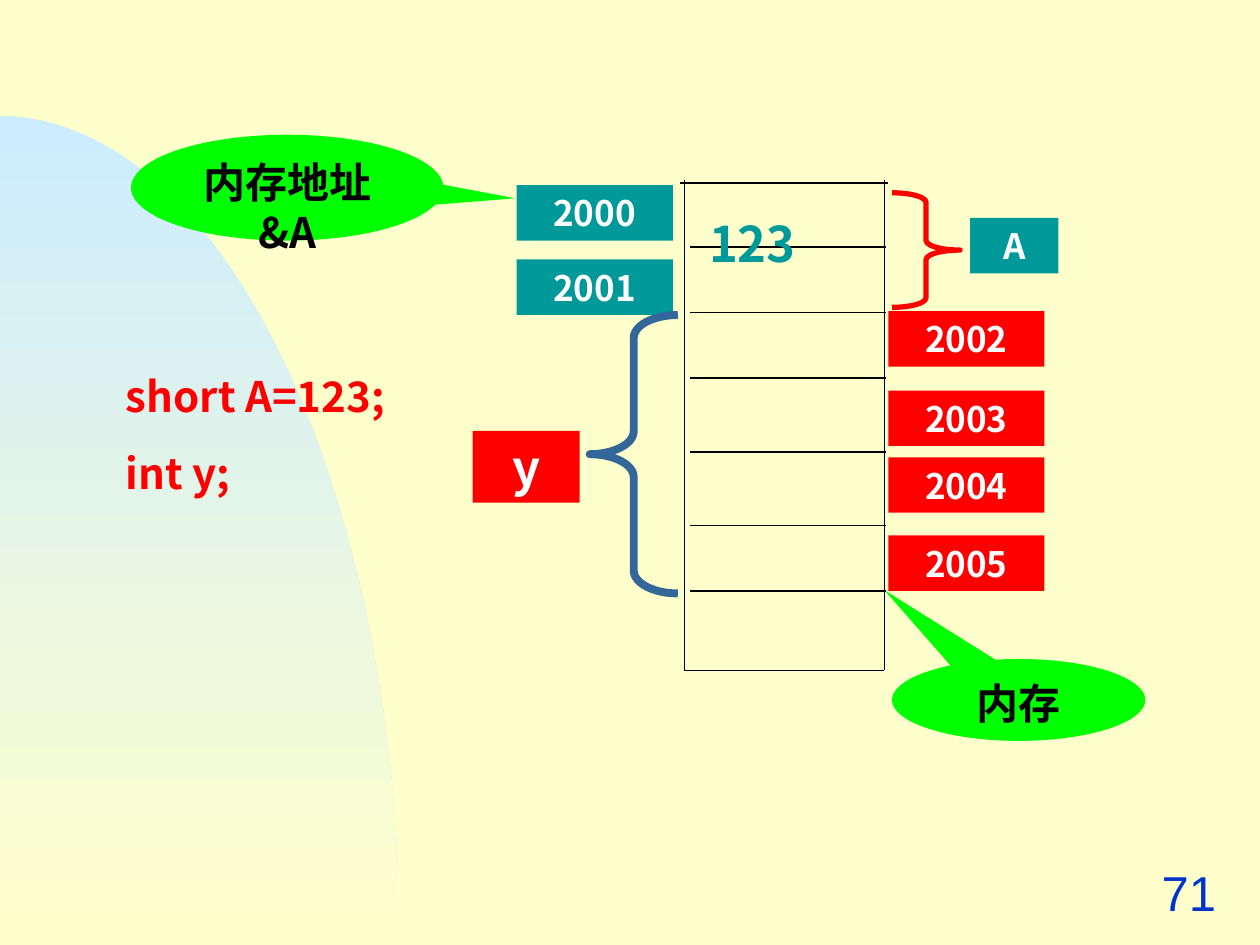
import math

from lxml import etree
from pptx import Presentation
from pptx import util as u
from pptx.dml.color import RGBColor
from pptx.enum import shapes, text
from pptx.oxml.ns import qn

CJK = "Noto Sans CJK SC"
TEAL, RED, GREEN, BLACK, WHITE = "009999", "FF0000", "00FF00", "010000", "FFFFFF"
CENTER = text.PP_ALIGN.CENTER
MIDDLE, TOP = text.MSO_ANCHOR.MIDDLE, text.MSO_ANCHOR.TOP
SHAPE = shapes.MSO_SHAPE


def color(value):
    return RGBColor.from_string(value)


class Painter:
    def __init__(self, slide, font):
        self.slide = slide
        self.font = font

    def background(self, fill):
        paper = self.slide.background.fill
        paper.solid()
        paper.fore_color.rgb = color(fill)

    def set_words(self, shape, lines, size, ink, align=None, anchor=TOP,
                  font=None, bold=True, gap=0):
        frame = shape.text_frame
        frame.word_wrap = True
        frame.vertical_anchor = anchor
        frame.text = "\n".join(lines)
        for index, para in enumerate(frame.paragraphs):
            para.alignment = align
            if index:
                para.space_before = u.Pt(gap)
            for span in para.runs:
                span.font.size = u.Pt(size)
                span.font.bold = bold
                span.font.name = font or self.font
                span.font.color.rgb = color(ink)
                east = etree.SubElement(span.font._element, qn("a:ea"))
                east.set("typeface", font or self.font)

    def label(self, place, lines, size, ink, **style):
        box = self.slide.shapes.add_textbox(*map(u.Inches, place))
        self.set_words(box, lines, size, ink, **style)
        return box

    def preset(self, kind, place, adjust=()):
        shape = self.slide.shapes.add_shape(kind, *map(u.Inches, place))
        shape.shadow.inherit = False
        for index, value in enumerate(adjust):
            shape.adjustments[index] = value
        return shape

    def block(self, place, word, fill, size=20, ink=WHITE, anchor=MIDDLE,
              kind=SHAPE.RECTANGLE, adjust=()):
        shape = self.preset(kind, place, adjust)
        shape.fill.solid()
        shape.fill.fore_color.rgb = color(fill)
        shape.line.fill.background()
        self.set_words(shape, [word], size, ink, align=CENTER, anchor=anchor)

    def callout(self, place, word, adjust):
        self.block(place, word, GREEN, 24, BLACK, TOP, SHAPE.OVAL_CALLOUT, adjust)

    def brace(self, kind, place, bend, ink, width):
        shape = self.preset(kind, place, (bend, 0.5))
        shape.fill.background()
        shape.line.color.rgb = color(ink)
        shape.line.width = u.Pt(width)

    def line(self, x1, y1, x2, y2, width):
        rule = self.slide.shapes.add_connector(
            shapes.MSO_CONNECTOR.STRAIGHT, *map(u.Inches, (x1, y1, x2, y2)))
        rule.line.color.rgb = color(BLACK)
        rule.line.width = u.Pt(width)
        etree.SubElement(rule._element.spPr, qn("a:effectLst"))

    def quarter_ellipse(self, base, rx, ry, top_fill, bottom_fill, steps=60):
        angles = [math.pi / 2 * step / steps for step in range(steps + 1)]
        points = [(u.Inches(rx * math.sin(a)), u.Inches(base - ry * math.cos(a)))
                  for a in angles]
        builder = self.slide.shapes.build_freeform(*points[0])
        builder.add_line_segments(points[1:] + [(0, u.Inches(base))], close=True)
        shape = builder.convert_to_shape()
        shape.shadow.inherit = False
        shape.line.fill.background()
        shape.fill.gradient()
        shape.fill.gradient_angle = 270
        for stop, place, fill in zip(shape.fill.gradient_stops, (0, 1),
                                     (top_fill, bottom_fill)):
            stop.position = place
            stop.color.rgb = color(fill)


def main():
    deck = Presentation()
    deck.slide_width, deck.slide_height = u.Inches(10), u.Inches(7.5)
    page = Painter(deck.slides.add_slide(deck.slide_layouts[6]), CJK)

    page.background("FFFFCC")
    page.quarter_ellipse(7.5, 3.17, 6.58, "CCECFF", "FFFFCC")
    page.label((0.9, 2.89, 2.71, 1.11), ["short A=123;", "int y;"], 24, RED, gap=15)

    addresses = [(4.1, 1.47, TEAL), (4.1, 2.06, TEAL), (7.05, 2.47, RED),
                 (7.05, 3.1, RED), (7.05, 3.63, RED), (7.05, 4.25, RED)]
    for number, (left, top, fill) in enumerate(addresses, 2000):
        page.block((left, top, 1.24, 0.44), str(number), fill)
    page.block((7.7, 1.73, 0.7, 0.44), "A", TEAL)
    page.block((3.75, 3.42, 0.85, 0.57), "y", RED, 28)

    page.brace(SHAPE.RIGHT_BRACE, (7.08, 1.53, 0.54, 0.91), 0.14, RED, 3)
    page.brace(SHAPE.LEFT_BRACE, (4.68, 2.5, 0.7, 2.21), 0.26, "336699", 4.5)
    page.callout((7.08, 5.23, 2.01, 0.65), "内存", (-0.53, -1.34))
    page.callout((1.04, 1.07, 2.48, 0.84), "内存地址&A", (0.73, 0.1))

    page.line(5.4, 1.45, 7.05, 1.45, 1)
    for y in (1.96, 2.48, 3, 3.59, 4.17, 4.69):
        page.line(5.48, y, 7.03, y, 1)
    for x in (5.43, 7.02):
        page.line(x, 1.43, x, 5.32, 0.75)
    page.line(5.43, 5.32, 7.02, 5.32, 0.75)

    value = page.label((5.53, 1.7, 1.4, 0.52), ["123"], 28, TEAL)
    value.text_frame.paragraphs[0].line_spacing = 0.9
    page.label((7.67, 6.83, 2.08, 0.5), ["71"], 28, "0033CC", font="Arial",
               bold=False, align=text.PP_ALIGN.RIGHT, anchor=MIDDLE)

    deck.save("out.pptx")


if __name__ == "__main__":
    main()
